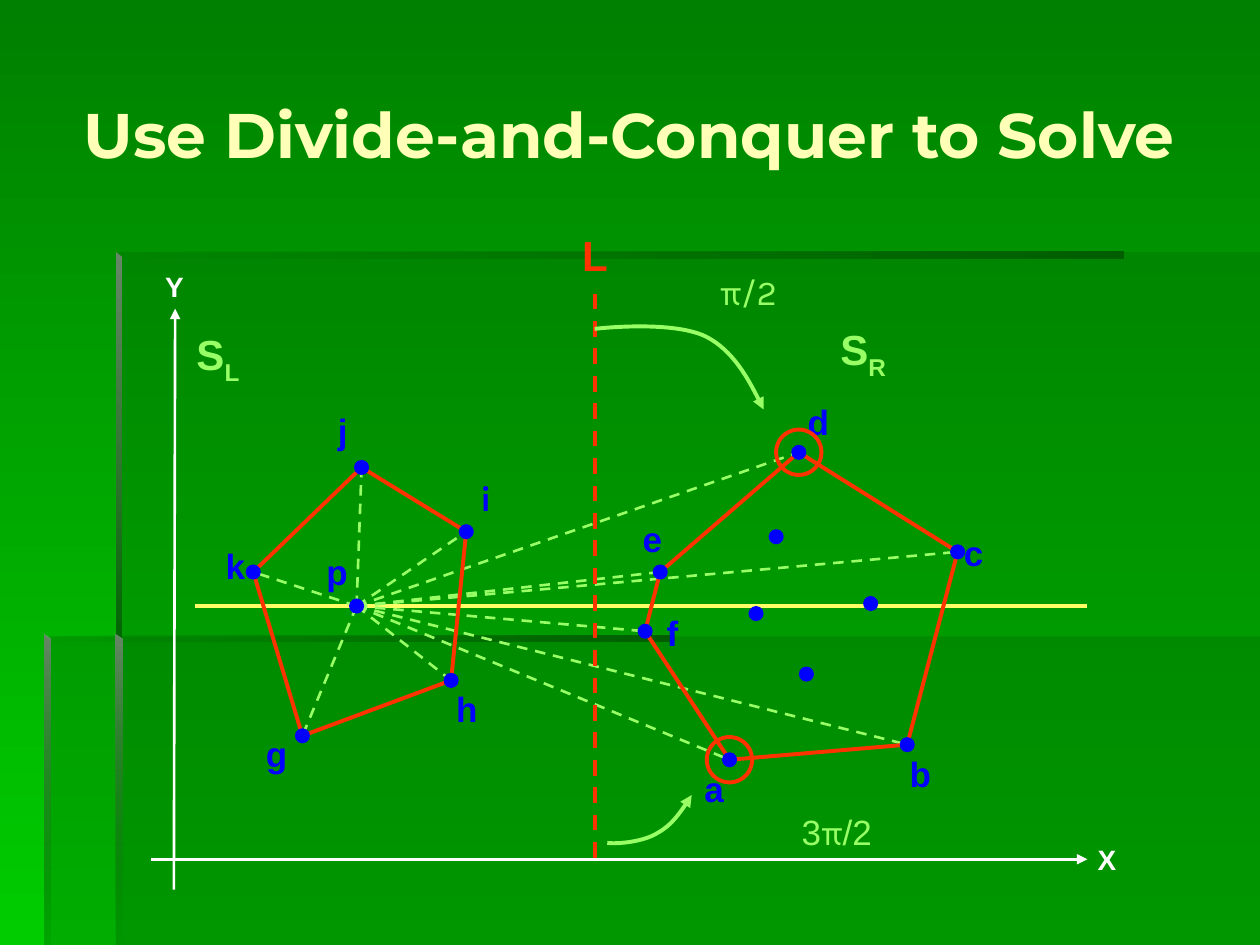
from collections import namedtuple
from itertools import chain

from lxml.etree import SubElement
from pptx import Presentation
from pptx.dml.color import RGBColor
from pptx.enum.dml import MSO_LINE
from pptx.enum.shapes import MSO_CONNECTOR, MSO_SHAPE
from pptx.enum.text import MSO_ANCHOR, MSO_AUTO_SIZE, PP_ALIGN
from pptx.oxml.ns import qn
from pptx.util import Pt

PX = 9144
GREEN_TOP = RGBColor(0x00, 0x80, 0x00)
GREEN_BOTTOM = RGBColor(0x00, 0xCC, 0x00)
PANEL = RGBColor(0x00, 0x66, 0x00)
EDGE_DARK = RGBColor(0x00, 0x5E, 0x00)
EDGE_LIGHT = RGBColor(0x66, 0x86, 0x66)
CREAM = RGBColor(0xFF, 0xFF, 0xB7)
YELLOW = RGBColor(0xFF, 0xFF, 0x66)
LIME = RGBColor(0x99, 0xFF, 0x66)
RED = RGBColor(0xFF, 0x33, 0x00)
BLUE = RGBColor(0x00, 0x00, 0xFF)
WHITE = RGBColor(0xFF, 0xFF, 0xFF)

Box = namedtuple("Box", "left top width height")
Vertex = namedtuple("Vertex", "x y label_left label_top label_width")

VERTICES = {
    "a": Vertex(459, 423, 439, 429, 15),
    "b": Vertex(600, 411, 602, 417, 17),
    "c": Vertex(640, 258, 645, 242, 15),
    "d": Vertex(514, 179, 521, 138, 17),
    "e": Vertex(404, 274, 390, 231, 15),
    "f": Vertex(392, 321, 409, 305, 9),
    "g": Vertex(120, 404, 91, 401, 17),
    "h": Vertex(238, 360, 242, 366, 17),
    "i": Vertex(250, 242, 261, 198, 8),
    "j": Vertex(167, 191, 148, 145, 8),
    "k": Vertex(81, 274, 59, 252, 15),
    "p": Vertex(163, 301, 139, 257, 17),
}
INNER_POINTS = [(496, 246), (571, 299), (480, 307), (520, 355)]
HULLS = ["abcdef", "ghijk"]
EXTREMES = "ad"


def add_arrowhead(shape):
    SubElement(shape.element.spPr.find(qn("a:ln")), qn("a:tailEnd"), type="triangle")


def set_alpha(color_element, percent):
    SubElement(color_element, qn("a:alpha"), val=str(percent * 1000))


def add_line(page, box, start, end, color, weight, dashed=False, arrow=False):
    ends = [(offset + value) * PX for point in (start, end) for offset, value in zip(box, point)]
    line = page.shapes.add_connector(MSO_CONNECTOR.STRAIGHT, *ends)
    line.line.color.rgb = color
    line.line.width = Pt(weight)
    if dashed:
        line.line.dash_style = MSO_LINE.DASH
    if arrow:
        add_arrowhead(line)
    SubElement(line.element.spPr, qn("a:effectLst"))


def add_outline(page, box, points, closed=True):
    builder = page.shapes.build_freeform(*points[0], scale=PX)
    builder.add_line_segments(points[1:], close=closed)
    shape = builder.convert_to_shape(box.left * PX, box.top * PX)
    shape.shadow.inherit = False
    shape.line.fill.background()
    return shape


def add_curved_arrow(page, box, points):
    shape = add_outline(page, box, points, closed=False)
    shape.fill.background()
    shape.line.color.rgb = LIME
    shape.line.width = Pt(2.25)
    add_arrowhead(shape)
    outline = next(shape.element.iter(qn("a:path")))
    segments = outline.findall(qn("a:lnTo"))
    for first in range(0, len(segments), 3):
        curve = SubElement(outline, qn("a:cubicBezTo"))
        for segment in segments[first:first + 3]:
            curve.append(segment[0])
            outline.remove(segment)


def add_circle(page, box, center, diameter):
    left = box.left + center[0] - diameter // 2
    top = box.top + center[1] - diameter // 2
    circle = page.shapes.add_shape(
        MSO_SHAPE.OVAL, left * PX, top * PX, diameter * PX, diameter * PX)
    circle.shadow.inherit = False
    return circle


def add_label(page, box, left, top, width, spans, size, color, bold=True):
    label = page.shapes.add_textbox(
        (box.left + left) * PX, (box.top + top) * PX, width * PX, round(size * 5 / 3) * PX)
    frame = label.text_frame
    frame.margin_left = frame.margin_right = frame.margin_top = frame.margin_bottom = 0
    frame.word_wrap = False
    frame.auto_size = MSO_AUTO_SIZE.SHAPE_TO_FIT_TEXT
    para = frame.paragraphs[0]
    para.alignment = PP_ALIGN.CENTER
    para.space_before = Pt(2)
    para.font.size = Pt(size)
    para.font.bold = bold
    para.font.color.rgb = color
    for text, font, baseline in spans:
        span = para.add_run()
        span.text = text
        span.font.name = font
        if baseline:
            span.font._element.set("baseline", str(baseline * 1000))


def fill_gradient(fill, first, last, angle):
    fill.gradient()
    fill.gradient_angle = angle
    for stop, color in zip(fill.gradient_stops, (first, last)):
        stop.color.rgb = color


def draw_backdrop(page, box):
    fill_gradient(page.background.fill, GREEN_TOP, GREEN_BOTTOM, 270)
    right, bottom, inset, step = box.width, box.height, 57, 305
    lower_panel = [(inset, step), (right, step), (right, bottom), (inset, bottom)]
    upper_panel = [(inset + 2, step), (0, step), (0, bottom),
                   (right, bottom), (right, 0), (inset + 2, 0)]
    for points in (lower_panel, upper_panel):
        panel = add_outline(page, box, points)
        panel.fill.solid()
        panel.fill.fore_color.rgb = PANEL
        set_alpha(next(panel.element.iter(qn("a:srgbClr"))), 30)

    for left, top, length in ((inset, 0, 800), (0, 304, 500)):
        points = [(left, top), (left, top + 5), (left + length, top + 5), (left + length, top)]
        edge = add_outline(page, box, points)
        fill_gradient(edge.fill, PANEL, EDGE_DARK, 0)
        set_alpha(next(edge.element.iter(qn("a:srgbClr"))), 0)

    for left, top, end, alpha in ((inset, 0, 310, 100), (inset, 304, bottom, 0),
                                  (0, 304, bottom, 10)):
        points = [(left, top), (left, end), (left + 5, end), (left + 5, top + 4)]
        edge = add_outline(page, box, points)
        fill_gradient(edge.fill, EDGE_LIGHT, PANEL, 270)
        set_alpha(list(edge.element.iter(qn("a:srgbClr")))[1], alpha)


def draw_title(page, box, text):
    title = page.shapes.title
    title.left, title.top, title.width, title.height = (length * PX for length in box)
    title.text_frame.text = text
    title.text_frame.vertical_anchor = MSO_ANCHOR.MIDDLE
    para = title.text_frame.paragraphs[0]
    para.alignment = PP_ALIGN.CENTER
    para.font.name = "Montserrat"
    para.font.size = Pt(36)
    para.font.bold = True
    para.font.color.rgb = CREAM


def draw_axes(page, box):
    add_line(page, box, (18, 526), (19, 65), WHITE, 1.5, arrow=True)
    add_line(page, box, (0, 502), (743, 502), WHITE, 1.5, arrow=True)
    add_line(page, box, (352, 53), (352, 502), RED, 2.25, dashed=True)
    add_label(page, box, 11, 34, 15, [("Y", "Arial", 0)], 16, WHITE)
    add_label(page, box, 751, 489, 15, [("X", "Arial", 0)], 16, WHITE)
    add_label(page, box, 342, 2, 20, [("L", "Arial", 0)], 24, RED)
    add_label(page, box, 35, 81, 36, [("S", "Arial", 0), ("L", "Arial", -25)], 24, LIME)
    add_label(page, box, 546, 77, 38, [("S", "Arial", 0), ("R", "Arial", -25)], 24, LIME)


def draw_hulls(page, box):
    centers = {name: (vertex.x, vertex.y) for name, vertex in VERTICES.items()}
    add_line(page, box, (35, 301), (743, 301), YELLOW, 2.25)
    for name in chain(*HULLS):
        add_line(page, box, centers["p"], centers[name], LIME, 1.5, dashed=True)
    for hull in HULLS:
        for start, end in zip(hull, hull[1:] + hull[0]):
            add_line(page, box, centers[start], centers[end], RED, 2.25)
    draw_axes(page, box)
    for center in chain(centers.values(), INNER_POINTS):
        dot = add_circle(page, box, center, 12)
        dot.fill.solid()
        dot.fill.fore_color.rgb = BLUE
        dot.line.fill.background()
    for name, vertex in VERTICES.items():
        font = "Karla" if name == "i" else "Arial"
        add_label(page, box, *vertex[2:], [(name, font, 0)], 20, BLUE)
    for name in EXTREMES:
        ring = add_circle(page, box, centers[name], 36)
        ring.fill.background()
        ring.line.color.rgb = RED
        ring.line.width = Pt(2.25)


def draw_angles(page, box):
    add_curved_arrow(page, box, [(352, 81), (370, 79), (417, 76), (440, 87),
                                 (462, 98), (479, 130), (486, 145)])
    add_curved_arrow(page, box, [(362, 489), (371, 490), (391, 488), (402, 481),
                                 (413, 475), (425, 458), (429, 451)])
    add_label(page, box, 449, 35, 50, [("π/2 ", "Karla", 0)], 20, LIME, bold=False)
    add_label(page, box, 513, 463, 62,
              [("3", "Arial", 0), ("π", "Karla", 0), ("/2 ", "Arial", 0)], 20, LIME, bold=False)


def main():
    deck = Presentation()
    deck.slide_width, deck.slide_height = 1000 * PX, 750 * PX
    page = deck.slides.add_slide(deck.slide_layouts[5])
    plot = Box(120, 180, 766, 526)
    draw_backdrop(page, Box(35, 200, 965, 550))
    draw_title(page, Box(41, 27, 917, 157), "Use Divide-and-Conquer to Solve")
    draw_hulls(page, plot)
    draw_angles(page, plot)
    deck.save("out.pptx")


if __name__ == "__main__":
    main()
